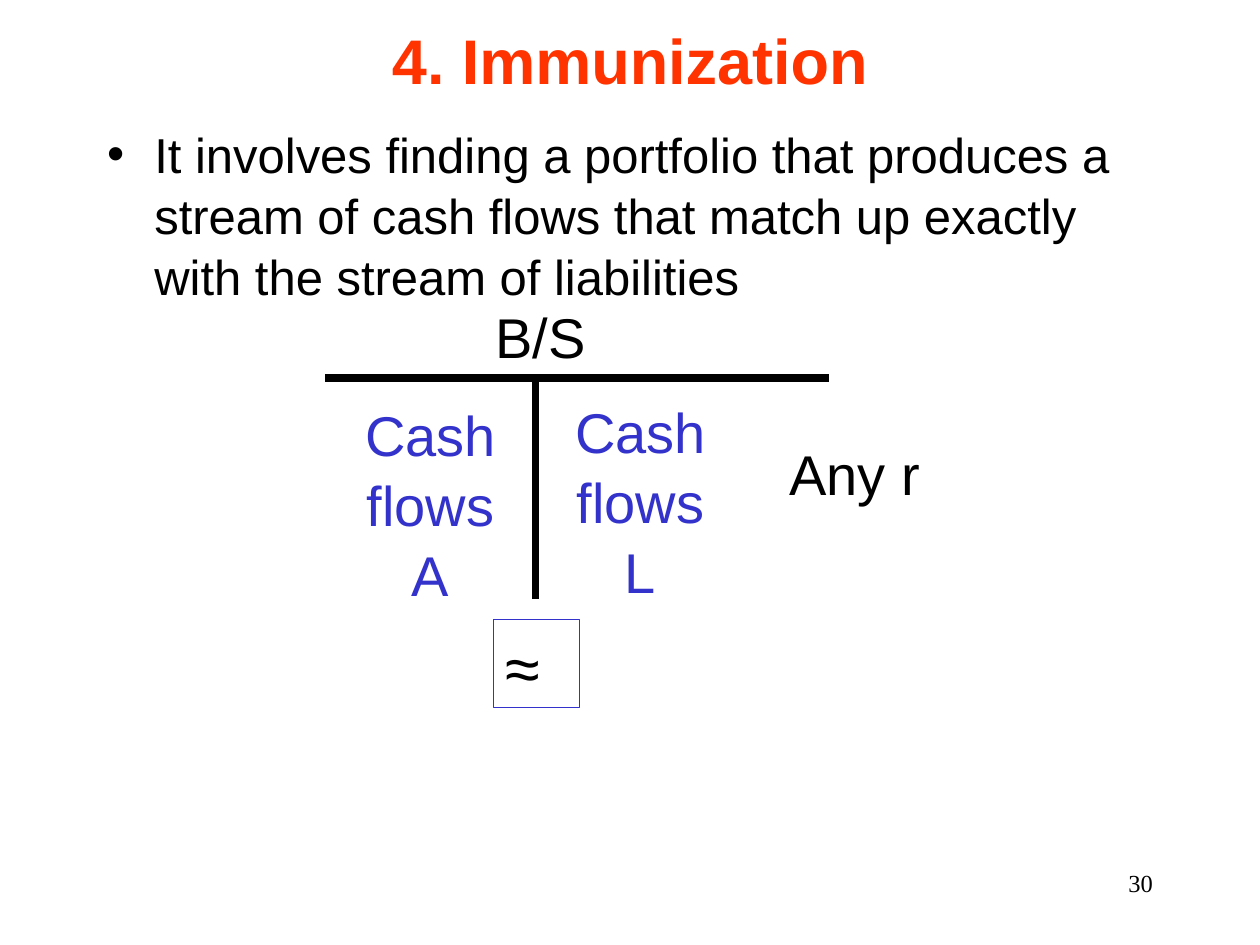
import pptx
import pptx.util
import pptx.dml.color
import pptx.enum.shapes
import pptx.enum.text
import pptx.oxml
import pptx.oxml.ns

Pt = pptx.util.Pt
ALIGN = pptx.enum.text.PP_ALIGN
ANCHOR = pptx.enum.text.MSO_ANCHOR

COLORS = {"title": "FF3300", "text": "000000", "accent": "3333CC"}
MARGIN_X, CONTENT_W = 54, 612
BAR_Y, STEM_X = 216, 306


def rgb(name):
    return pptx.dml.color.RGBColor.from_string(COLORS[name])


class SlideBuilder:
    font = "Arial"
    line_spacing = 1.04

    def __init__(self, prs):
        self.s = prs.slides.add_slide(prs.slide_layouts[1])

    def set_text(self, sp, text, size, color="text", align=ALIGN.LEFT,
                 anchor=ANCHOR.TOP, bold=False, font=None):
        tf = sp.text_frame
        frame = {"word_wrap": True, "vertical_anchor": anchor,
                 "auto_size": pptx.enum.text.MSO_AUTO_SIZE.NONE}
        for name, value in frame.items():
            setattr(tf, name, value)
        p = tf.paragraphs[0]
        paragraph = {"alignment": align, "line_spacing": self.line_spacing,
                     "space_before": Pt(0)}
        for name, value in paragraph.items():
            setattr(p, name, value)
        r = p.add_run()
        r.text = text
        for name, value in {"name": font or self.font, "size": Pt(size),
                            "bold": bold}.items():
            setattr(r.font, name, value)
        r.font.color.rgb = rgb(color)
        return p

    def placeholder(self, idx, box, text, size, **style):
        sp = self.s.placeholders[idx]
        for name, value in zip(("left", "top", "width", "height"), box):
            setattr(sp, name, Pt(value))
        return self.set_text(sp, text, size, **style)

    def title(self, box, text):
        self.placeholder(0, box, text, 36, color="title", bold=True,
                         align=ALIGN.CENTER, anchor=ANCHOR.MIDDLE)

    def bullet(self, box, text, indent=27):
        p = self.placeholder(1, box, text, 28)
        pPr = p._p.get_or_add_pPr()
        pPr.set("marL", str(Pt(indent)))
        pPr.set("indent", str(-Pt(indent)))
        pPr.append(pptx.oxml.parse_xml(
            f'<a:buChar {pptx.oxml.ns.nsdecls("a")} char="•"/>'))

    def text(self, box, text, size=32, **style):
        sp = self.s.shapes.add_textbox(*map(Pt, box))
        self.set_text(sp, text, size, **style)

    def line(self, x1, y1, x2, y2):
        c = self.s.shapes.add_connector(
            pptx.enum.shapes.MSO_CONNECTOR.STRAIGHT, *map(Pt, (x1, y1, x2, y2)))
        c.line.width = Pt(4.5)
        c.line.color.rgb = rgb("text")
        c._element.spPr.append(pptx.oxml.parse_xml(
            f'<a:effectLst {pptx.oxml.ns.nsdecls("a")}/>'))

    def outlined_box(self, box, text, size):
        sp = self.s.shapes.add_shape(
            pptx.enum.shapes.MSO_SHAPE.RECTANGLE, *map(Pt, box))
        sp.shadow.inherit = False
        sp.fill.background()
        sp.line.color.rgb = rgb("accent")
        sp.line.width = Pt(0.75)
        self.set_text(sp, text, size)


def main():
    prs = pptx.Presentation()
    prs.slide_width, prs.slide_height = Pt(720), Pt(540)
    slide = SlideBuilder(prs)

    slide.title((MARGIN_X, 0, CONTENT_W, 66), "4. Immunization")
    slide.bullet((MARGIN_X, 66, CONTENT_W, 156),
                 "It involves finding a portfolio that produces a stream of "
                 "cash flows that match up exactly with the stream of liabilities")

    slide.line(186, BAR_Y, 474, BAR_Y)
    slide.line(STEM_X, BAR_Y, STEM_X, 342)
    slide.text((276, 168, 90, 46), "B/S")
    for x, y, side in ((192, 224, "A"), (312, 222, "L")):
        slide.text((x, y, 108, 122.4), f"Cash flows {side}",
                   color="accent", align=ALIGN.CENTER)
    slide.text((444, 246, 150, 46), "Any r")
    slide.outlined_box((282, 354, 49, 50.4), "≈", 36)

    slide.text((516, 492, 150, 36), "30", 14, align=ALIGN.RIGHT,
               font="Times New Roman")
    prs.save("out.pptx")


if __name__ == "__main__":
    main()
